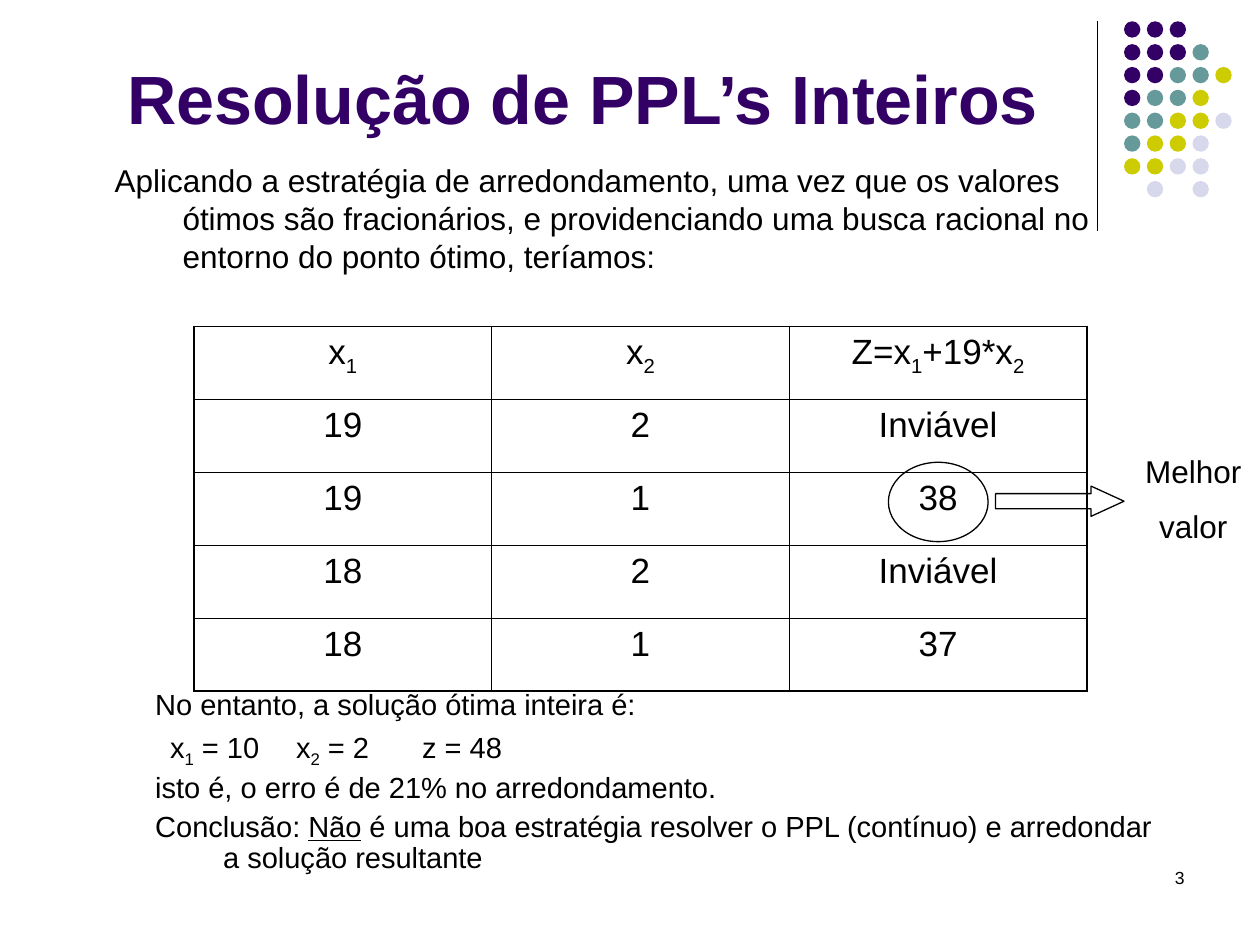
from dataclasses import dataclass
from typing import NamedTuple

from lxml import etree
from pptx import Presentation
from pptx import util as u
from pptx.dml.color import RGBColor
from pptx.enum import shapes, text
from pptx.oxml import ns

COLORS = {"ink": "000000", "purple": "330066", "teal": "669999", "lime": "CCCC00", "mist": "D8D8EC"}
FONT = "Arial"
LEFT, CENTER, RIGHT = text.PP_ALIGN.LEFT, text.PP_ALIGN.CENTER, text.PP_ALIGN.RIGHT
SUBSCRIPT = {"baseline": "-25000"}
UNDERLINE = {"u": "sng"}

DOT_ROWS = ["PPP", "PPPT", "PPTTL", "PTTL", "TTLLM", "TLLM", "LLMM", " M M"]
DOT_COLORS = {"P": "purple", "T": "teal", "L": "lime", "M": "mist"}
DOT_LEFT, DOT_TOP, DOT_PITCH, DOT_SIZE = 22.66, 0.43, 0.46, 0.33

TABLE_ROWS = [
    ["x~1~", "x~2~", "Z=x~1~+19*x~2~"],
    ["19", "2", "Inviável"],
    ["19", "1", "38"],
    ["18", "2", "Inviável"],
    ["18", "1", "37"],
]
COL_WIDTH, ROW_HEIGHT = 6.0, 1.47
INNER_BORDER, OUTER_BORDER = 0.45, 1.08


class Box(NamedTuple):
    left: float
    top: float
    width: float
    height: float

    def cm(self) -> list:
        return [u.Cm(v) for v in self]


@dataclass
class Para:
    body: str
    size: float
    align: text.PP_ALIGN = LEFT
    before: float = 0
    spacing: float = 1.0
    margin: float = 0
    indent: float = 0
    tabs: tuple = ()
    marked: tuple = tuple(SUBSCRIPT.items())


@dataclass
class Block:
    box: Box
    paras: list


INDENT = {"before": 4.5, "margin": 2.34, "indent": -1.37}
CLOSING = {"size": 16.6, "spacing": 0.9}

BLOCKS = [
    Block(Box(1.09, 3.12, 22, 3), [
        Para("Aplicando a estratégia de arredondamento, uma vez que os valores ótimos são fracionários, "
             "e providenciando uma busca racional no entorno do ponto ótimo, teríamos:", 18, **INDENT),
    ]),
    Block(Box(1.91, 13.79, 22, 4.55), [
        Para("No entanto, a solução ótima inteira é:", **CLOSING, **INDENT),
        Para("\tx~1~ = 10\tx~2~ = 2\tz = 48", **CLOSING, before=4.5, tabs=(7.77, 10.74, 13.04)),
        Para("isto é, o erro é de 21% no arredondamento.", **CLOSING, **INDENT),
        Para("Conclusão: ~Não~ é uma boa estratégia resolver o PPL (contínuo) e arredondar "
             "a solução resultante", **CLOSING, **INDENT, marked=tuple(UNDERLINE.items())),
    ]),
    Block(Box(22.71, 9.32, 2.69, 1.8), [
        Para("Melhor", 18, CENTER, before=11.2, spacing=0.5),
        Para("valor", 18, CENTER, before=11.2),
    ]),
    Block(Box(18.21, 17.35, 5.92, 1.27), [Para("3", 10, RIGHT)]),
]


def color(name: str) -> RGBColor:
    return RGBColor.from_string(COLORS[name])


def write(p, para: Para) -> None:
    p.alignment, p.line_spacing, p.space_before = para.align, para.spacing, u.Pt(para.before)
    p.font.size, p.font.name = u.Pt(para.size), FONT
    p.font.color.rgb = color("ink")
    pPr = p._p.get_or_add_pPr()
    pPr.set("marL", str(u.Cm(para.margin)))
    pPr.set("indent", str(u.Cm(para.indent)))
    if para.tabs:
        tab_list = etree.Element(ns.qn("a:tabLst"))
        for stop in para.tabs:
            etree.SubElement(tab_list, ns.qn("a:tab"), pos=str(u.Cm(stop)), algn="l")
        pPr.find(ns.qn("a:defRPr")).addprevious(tab_list)
    for i, part in enumerate(para.body.split("~")):
        if not part:
            continue
        r = p.add_run()
        r.text = part
        r.font.size, r.font.name = u.Pt(para.size), FONT
        r.font.color.rgb = color("ink")
        if i % 2:
            for key, value in para.marked:
                r._r.get_or_add_rPr().set(key, value)


def add_block(s, block: Block) -> None:
    tf = s.shapes.add_textbox(*block.box.cm()).text_frame
    tf.word_wrap = True
    for i, para in enumerate(block.paras):
        write(tf.add_paragraph() if i else tf.paragraphs[0], para)


def add_outline(s, kind: shapes.MSO_SHAPE, box: Box):
    sp = s.shapes.add_shape(kind, *box.cm())
    sp.shadow.inherit = False
    sp.fill.background()
    sp.line.color.rgb, sp.line.width = color("ink"), u.Pt(0.75)
    return sp


def add_dots(s) -> None:
    group = s.shapes.add_group_shape()
    for row, line in enumerate(DOT_ROWS):
        for col, key in enumerate(line):
            if key == " ":
                continue
            box = Box(DOT_LEFT + col * DOT_PITCH, DOT_TOP + row * DOT_PITCH, DOT_SIZE, DOT_SIZE)
            sp = group.shapes.add_shape(shapes.MSO_SHAPE.OVAL, *box.cm())
            sp.shadow.inherit = False
            sp.fill.solid()
            sp.fill.fore_color.rgb = color(DOT_COLORS[key])
            sp.line.fill.background()


def add_rule(s) -> None:
    line = s.shapes.add_connector(shapes.MSO_CONNECTOR.STRAIGHT,
                                  u.Cm(22.12), u.Cm(0.43), u.Cm(22.12), u.Cm(4.65))
    line.line.color.rgb, line.line.width = color("ink"), u.Pt(0.75)
    etree.SubElement(line._element.spPr, ns.qn("a:effectLst"))


def set_border(cell, side: str, outer: bool) -> None:
    width = u.Pt(OUTER_BORDER if outer else INNER_BORDER)
    ln = etree.SubElement(cell._tc.get_or_add_tcPr(), ns.qn(f"a:ln{side}"), w=str(width))
    fill = etree.SubElement(ln, ns.qn("a:solidFill"))
    etree.SubElement(fill, ns.qn("a:srgbClr"), val=COLORS["ink"])


def add_values(s) -> None:
    n_rows, n_cols = len(TABLE_ROWS), len(TABLE_ROWS[0])
    box = Box(3.91, 6.58, n_cols * COL_WIDTH, n_rows * ROW_HEIGHT)
    table = s.shapes.add_table(n_rows, n_cols, *box.cm()).table
    table.first_row = table.horz_banding = False
    for i, values in enumerate(TABLE_ROWS):
        for j, value in enumerate(values):
            cell = table.cell(i, j)
            edges = {"L": j == 0, "R": j == n_cols - 1, "T": i == 0, "B": i == n_rows - 1}
            for side, outer in edges.items():
                set_border(cell, side, outer)
            cell.fill.background()
            write(cell.text_frame.paragraphs[0], Para(value, 20, CENTER, before=5))


def add_title(s) -> None:
    sp = s.shapes.title
    sp.left, sp.top, sp.width, sp.height = Box(1.27, 0.33, 20.96, 2.59).cm()
    tf = sp.text_frame
    tf.text = "Resolução de PPL’s Inteiros"
    tf.auto_size = text.MSO_AUTO_SIZE.NONE
    tf.vertical_anchor = text.MSO_ANCHOR.BOTTOM
    p = tf.paragraphs[0]
    p.alignment = CENTER
    p.font.name, p.font.size, p.font.bold = FONT, u.Pt(39), True
    p.font.color.rgb = color("purple")


def main() -> None:
    prs = Presentation()
    prs.slide_width, prs.slide_height = u.Cm(25.4), u.Cm(19.05)
    s = prs.slides.add_slide(prs.slide_layouts[5])
    add_rule(s)
    add_dots(s)
    add_title(s)
    add_values(s)
    for block in BLOCKS:
        add_block(s, block)
    add_outline(s, shapes.MSO_SHAPE.OVAL, Box(17.91, 9.32, 2.01, 1.6))
    arrow = add_outline(s, shapes.MSO_SHAPE.RIGHT_ARROW, Box(20.07, 9.8, 2.59, 0.61))
    arrow.adjustments[1] = 1.09
    prs.save("out.pptx")


if __name__ == "__main__":
    main()
